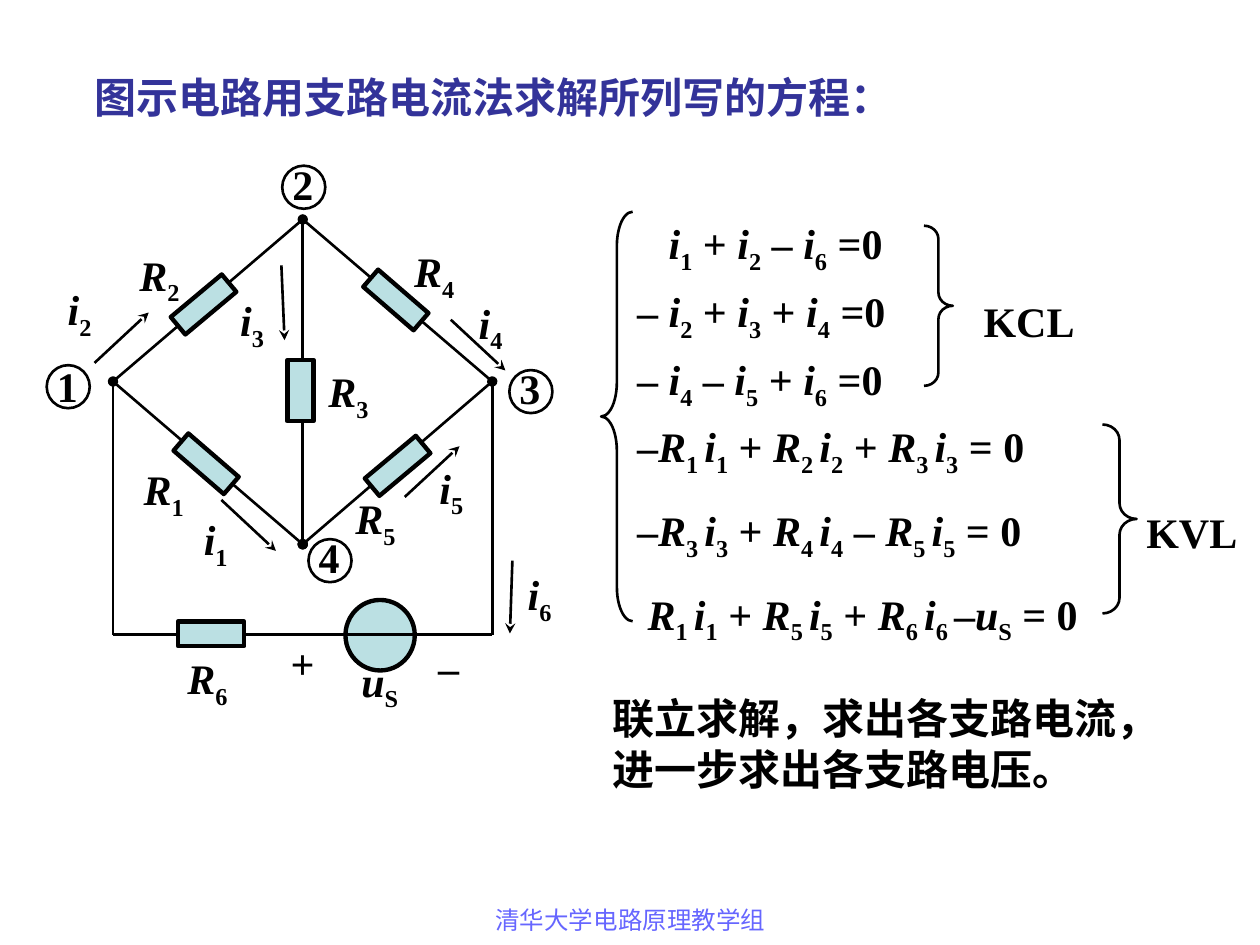
from itertools import groupby

from lxml.etree import SubElement as Sub
from pptx import Presentation
from pptx.dml.color import RGBColor as RGB
from pptx.enum.shapes import MSO_CONNECTOR as Conn, MSO_SHAPE as Kind
from pptx.enum.text import MSO_AUTO_SIZE as Auto, PP_ALIGN as Align
from pptx.oxml.ns import qn
from pptx.util import Pt

COLORS = {"ink": "000000", "title": "333399", "foot": "6666FF", "part": "BBE0E3"}
BASE = {"name": "Times New Roman", "size": Pt(24), "bold": True}
INSETS = {"margin_left": Pt(7.2), "margin_right": Pt(7.2),
          "margin_top": Pt(3.6), "margin_bottom": Pt(3.6), "word_wrap": True}


def apply(obj, vals):
    for key, val in vals.items():
        setattr(obj, key, val)


def split(text):
    """Yield (text, italic, sub): [..] is a subscript, R, i and u are italic."""
    for n, part in enumerate(text.replace("]", "[").split("[")):
        if n % 2:
            yield part, False, True
        else:
            for slant, chars in groupby(part, lambda c: c in "Riu"):
                yield "".join(chars), slant, False


def add_text(shapes, lines, x, y, w, h, color="ink", gap=0, indents=(), para=None, **font):
    box = shapes.add_textbox(Pt(x), Pt(y), Pt(w), Pt(h))
    frame = box.text_frame
    apply(frame, INSETS)
    frame.auto_size = Auto.SHAPE_TO_FIT_TEXT
    for n, line in enumerate(lines):
        par = frame.paragraphs[0] if n == 0 else frame.add_paragraph()
        if n:
            par.space_before = Pt(gap)
        if indents and indents[n]:
            par._p.get_or_add_pPr().set("marL", str(Pt(indents[n])))
        apply(par, para or {})
        for text, slant, low in split(line):
            run = par.add_run()
            run.text = text
            apply(run.font, {**BASE, "italic": slant, **font})
            run.font.color.rgb = RGB.from_string(COLORS[color])
            if low:
                run.font._element.set("baseline", "-25000")
    return box


def add_line(shapes, start, end, head=None, tail=None):
    line = shapes.add_connector(Conn.STRAIGHT, *(Pt(v) for v in start + end))
    line.line.width = Pt(1.5)
    line.line.color.rgb = RGB.from_string(COLORS["ink"])
    for tag, kind in (("a:headEnd", head), ("a:tailEnd", tail)):
        if kind:
            Sub(line.line._get_or_add_ln(), qn(tag), type=kind)
    Sub(line._element.spPr, qn("a:effectLst"))


def add_part(shapes, kind, x, y, w, h, turn=0, fill=None, width=1.5):
    """Add an outlined shape centred on x, y."""
    part = shapes.add_shape(kind, Pt(x - w / 2), Pt(y - h / 2), Pt(w), Pt(h))
    part.shadow.inherit = False
    part.rotation = turn
    if fill:
        part.fill.solid()
        part.fill.fore_color.rgb = RGB.from_string(COLORS[fill])
    else:
        part.fill.background()
    part.line.width = Pt(width)
    part.line.color.rgb = RGB.from_string(COLORS["ink"])
    return part


def add_brace(shapes, kind, x, y, w, h, bend):
    brace = add_part(shapes, kind, x + w / 2, y + h / 2, w, h)
    brace.adjustments[0] = bend


def add_sums(shapes):
    # Node and loop equations
    add_text(shapes, ["i[1] + i[2] – i[6] =0", "– i[2] + i[3] + i[4] =0",
                      "– i[4] – i[5] + i[6] =0"],
             357, 121, 194, 118, gap=6, indents=(18, 0, 0))
    add_text(shapes, ["–R[1 ]i[1] + R[2 ]i[2] + R[3 ]i[3] = 0",
                      "–R[3 ]i[3] + R[4 ]i[4] – R[5 ]i[5] = 0",
                      "R[1 ]i[1] + R[5 ]i[5] + R[6 ]i[6 ]–u[S] = 0"],
             357, 237, 295, 135, gap=15, indents=(0, 0, 6))

    # Braces and their names
    add_brace(shapes, Kind.RIGHT_BRACE, 528, 129, 16.5, 91.5, 0.46)
    add_brace(shapes, Kind.RIGHT_BRACE, 630, 242.6, 19.5, 108, 0.46)
    add_brace(shapes, Kind.LEFT_BRACE, 343.5, 121, 18, 234, 1.08)
    add_text(shapes, ["KCL"], 555, 165.6, 83, 36)
    add_text(shapes, ["KVL"], 648, 286, 72, 36)


def add_bridge(shapes):
    # Source, behind the wires
    add_part(shapes, Kind.OVAL, 217.2, 363, 39.6, 40.3, fill="part", width=2.5)

    # Wires between the four nodes and round the bottom
    west, north, east, south = (64.6, 218), (173, 125.4), (281.3, 218), (173, 311)
    add_line(shapes, north, south, "oval", "oval")
    add_line(shapes, north, east)
    add_line(shapes, west, south, "oval", "oval")
    add_line(shapes, east, south, "oval", "oval")
    add_line(shapes, north, west)
    low = 362.6
    left, right = (west[0], low), (east[0], low)
    for start, end in ((west, left), (east, right), (left, right)):
        add_line(shapes, start, end)

    # Resistors
    for x, y, w, h, turn in ((171.7, 223.2, 15, 35, 0),
                             (116.3, 174, 13, 38, 50.1),
                             (226.2, 171.4, 13, 38, 310.8),
                             (227.2, 266.2, 13, 38, 50.1),
                             (117.8, 265, 13, 38, 310.8),
                             (120.6, 362.2, 14, 38, 90)):
        add_part(shapes, Kind.RECTANGLE, x, y, w, h, turn, "part", 2.5)

    # Current arrows
    for start, end in (((54, 207.4), (85, 178.6)), ((231.3, 284), (262.6, 255)),
                       ((126.5, 285.7), (157.7, 314.8)), ((257.6, 182.7), (288.8, 211.7)),
                       ((160.8, 151.6), (162.6, 194.4)), ((292.8, 320.4), (291.4, 362))):
        add_line(shapes, start, end, tail="stealth")

    # Labels of parts and currents
    for text, x, y in (("R[1]", 75, 261.4), ("R[2]", 72.6, 138.8), ("R[3]", 180.6, 205.4),
                       ("R[4]", 229.6, 137), ("R[5]", 196, 278), ("R[6]", 100, 369.5),
                       ("i[1]", 109.4, 290), ("i[2]", 31.6, 158.6), ("i[3]", 130.2, 165),
                       ("i[4]", 266.4, 166.2), ("i[5]", 244, 260.6), ("i[6]", 294.4, 321.4),
                       ("u[S]", 199.4, 371), ("+", 159, 360.7), ("–", 243.2, 363)):
        add_text(shapes, [text], x, y, 41.8, 36)

    # Ringed node numbers
    rings = ((39, 221), (173.6, 107), (303.4, 223.8), (188.6, 320.4))
    for n, (x, y) in enumerate(rings, 1):
        rise = 18.7 if n == 1 else 20.2
        add_text(shapes, [str(n)], x - 13.6, y - rise, 31, 36)
        add_part(shapes, Kind.OVAL, x, y, 24.6, 24.6)


def main():
    deck = Presentation()
    apply(deck, {"slide_width": Pt(720), "slide_height": Pt(540)})
    shapes = deck.slides.add_slide(deck.slide_layouts[6]).shapes

    add_sums(shapes.add_group_shape().shapes)
    add_text(shapes, ["联立求解，求出各支路电流， 进一步求出各支路电压。"], 342.7, 392.4, 338.4, 65)
    add_bridge(shapes.add_group_shape().shapes)

    # Title and footer
    add_text(shapes, ["图示电路用支路电流法求解所列写的方程："], 46.8, 37.4, 525, 36, "title")
    foot = add_text(shapes, ["清华大学电路原理教学组"], 246.2, 513.4, 228.2, 37.4, "foot",
                    para={"alignment": Align.CENTER}, size=Pt(14), bold=False)
    foot.text_frame.auto_size = Auto.NONE
    deck.save("out.pptx")


if __name__ == "__main__":
    main()
